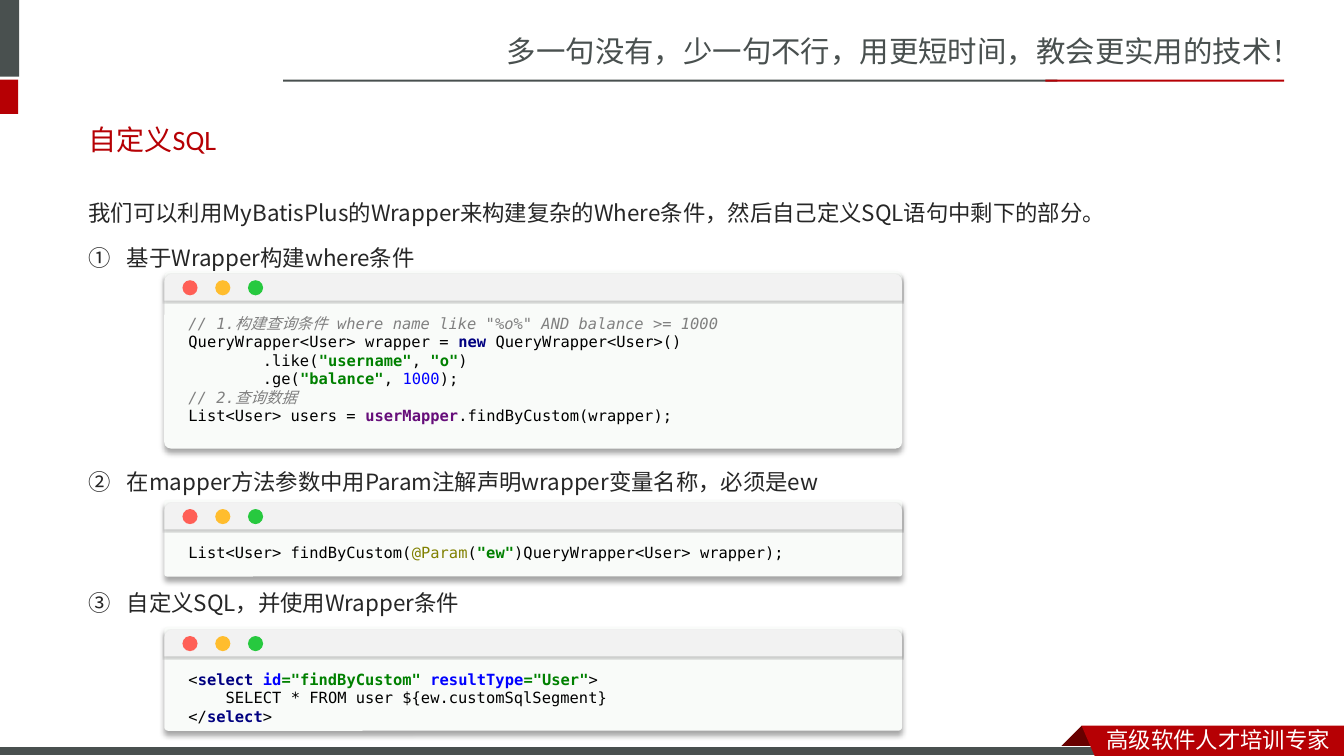
from lxml.etree import SubElement
from pptx import Presentation
from pptx.dml.color import RGBColor
from pptx.enum.shapes import MSO_SHAPE
from pptx.enum.text import MSO_ANCHOR
from pptx.oxml.ns import qn
from pptx.util import Inches, Pt

WIDE, HIGH = Inches(13.33), Inches(7.5)
COL, ROW = WIDE / 160, HIGH / 90

WHITE = RGBColor(0xFF, 0xFF, 0xFF)
BLACK = RGBColor(0x00, 0x00, 0x00)
SLATE = RGBColor(0x49, 0x50, 0x4F)
RED = RGBColor(0xB6, 0x00, 0x04)
MAROON = RGBColor(0x68, 0x00, 0x00)
INK = RGBColor(0x26, 0x26, 0x26)
PAPER = RGBColor(0xF9, 0xFB, 0xF9)
BAR = RGBColor(0xF2, 0xF2, 0xF2)
GRAY = RGBColor(0x80, 0x80, 0x80)
NAVY = RGBColor(0x00, 0x00, 0x80)
GREEN = RGBColor(0x00, 0x80, 0x00)
BLUE = RGBColor(0x00, 0x00, 0xFF)
PURPLE = RGBColor(0x66, 0x0E, 0x7A)
OLIVE = RGBColor(0x80, 0x80, 0x00)
DOTS = (RGBColor(0xFF, 0x5F, 0x56), RGBColor(0xFF, 0xBD, 0x2E),
        RGBColor(0x27, 0xC9, 0x3F))

SANS, MONO = "Noto Sans CJK SC", "DejaVu Sans Mono"

PLAIN = (BLACK, False, False, MONO)
NOTE = (GRAY, False, True, MONO)
HAN = (GRAY, False, True, "Courier New")
STAR = (BLACK, False, True, MONO)
WORD = (NAVY, True, False, MONO)
QUOTE = (GREEN, True, False, MONO)
DIGIT = (BLUE, False, False, MONO)
ATTR = (BLUE, True, False, MONO)
FIELD = (PURPLE, True, False, MONO)
MARK = (OLIVE, False, False, MONO)

QUERY = [
    [("// 1.", NOTE), ("构建查询条件", HAN),
     (' where name like "%o%" AND balance >= 1000', NOTE)],
    [("QueryWrapper<User> wrapper = ", PLAIN), ("new ", WORD),
     ("QueryWrapper<User>()", PLAIN)],
    [("        .like(", PLAIN), ('"username"', QUOTE), (", ", PLAIN),
     ('"o"', QUOTE), (")", PLAIN)],
    [("        .ge(", PLAIN), ('"balance"', QUOTE), (", ", PLAIN),
     ("1000", DIGIT), (");", PLAIN)],
    [("// 2.", NOTE), ("查询数据", HAN)],
    [("List<User> users = ", PLAIN), ("userMapper", FIELD),
     (".findByCustom(wrapper);", PLAIN)],
]
MAPPER = [
    [("List<User> findByCustom(", PLAIN), ("@Param", MARK), ("(", PLAIN),
     ('"ew"', QUOTE), (")QueryWrapper<User> wrapper);", PLAIN)],
]
SELECT = [
    [("<", PLAIN), ("select ", WORD), ("id", ATTR),
     ('="findByCustom" ', QUOTE), ("resultType", ATTR),
     ('="User"', QUOTE), (">", PLAIN)],
    [("    SELECT ", PLAIN), ("* ", STAR),
     ("FROM user ${ew.customSqlSegment}", PLAIN)],
    [("</", PLAIN), ("select", WORD), (">", PLAIN)],
]
CARDS = [(32.28, 21.12, QUERY), (59.52, 9.12, MAPPER), (74.64, 12.36, SELECT)]

INTRO = "我们可以利用MyBatisPlus的Wrapper来构建复杂的Where条件，然后自己定义SQL语句中剩下的部分。"
STEPS = [("基于Wrapper构建where条件", 8),
         ("在mapper方法参数中用Param注解声明wrapper变量名称，必须是ew", 136),
         ("自定义SQL，并使用Wrapper条件", 62.4)]


def place(box):
    x, y, w, h = box
    return round(x * COL), round(y * ROW), round(w * COL), round(h * ROW)


def paint(shape, fill):
    shape.shadow.inherit = False
    shape.fill.solid()
    shape.fill.fore_color.rgb = fill
    shape.line.fill.background()
    return shape


def draw(shapes, kind, box, fill):
    return paint(shapes.add_shape(kind, *place(box)), fill)


def outline(shapes, points, fill):
    spots = [(round(x * COL), round(y * ROW)) for x, y in points]
    pen = shapes.build_freeform(*spots[0])
    pen.add_line_segments(spots[1:], close=True)
    return paint(pen.convert_to_shape(), fill)


def shade(shape, alpha, blur, dist):
    effects = shape._element.spPr.find(qn("a:effectLst"))
    outer = SubElement(effects, qn("a:outerShdw"), blurRad=str(Pt(blur)),
                       dist=str(Pt(dist)), dir="5400000", algn="t",
                       rotWithShape="0")
    tint = SubElement(outer, qn("a:srgbClr"), val=str(BLACK))
    SubElement(tint, qn("a:alpha"), val=str(alpha * 1000))


def frame(shapes, box):
    body = shapes.add_textbox(*place(box)).text_frame
    body.word_wrap = True
    return body


def style(para, size, face, color):
    font = para.font
    font.size, font.name, font.color.rgb = Pt(size), face, color
    base = para._p.pPr.find(qn("a:defRPr"))
    SubElement(base, qn("a:ea"), typeface=face)


def label(shapes, box, words, size, face, color):
    body = frame(shapes, box)
    para = body.paragraphs[0]
    para.text = words
    style(para, size, face, color)
    return body


def header(shapes):
    label(shapes, (59.16, 3.36, 100.84, 5.64),
          "多一句没有，少一句不行，用更短时间，教会更实用的技术！", 21, SANS, SLATE)
    for box, fill in (((0, 0, 2.28, 9.12), SLATE),
                      ((0, 9.48, 2.16, 4.08), RED),
                      ((33.72, 9.48, 92.16, 0.24), SLATE),
                      ((124.44, 9.48, 28.44, 0.24), RED)):
        draw(shapes, MSO_SHAPE.RECTANGLE, box, fill)


def footer(shapes):
    outline(shapes, [(128.76, 86.4), (131.4, 89.04), (131.28, 89.16),
                     (126.24, 89.16), (126.12, 89.04)], MAROON)
    strip = draw(shapes, MSO_SHAPE.RECTANGLE, (0, 88.92, 131.9, 1.08), SLATE)
    strip.line.color.rgb = WHITE
    strip.line.width = Pt(0.75)
    outline(shapes, [(128.76, 86.4), (160, 86.4), (160, 90), (130.32, 90)], RED)
    label(shapes, (130.56, 85.8, 29.4, 4.2), "高级软件人才培训专家", 16, SANS, WHITE)


def steps(shapes, box):
    body = label(shapes, box, INTRO, 16, "Noto Sans CJK JP", INK)
    body.paragraphs[0].line_spacing = Pt(24)
    for words, gap in STEPS:
        para = body.add_paragraph()
        para.text = words
        para.line_spacing = Pt(24)
        para.space_before = Pt(gap)
        props = para._p.get_or_add_pPr()
        props.set("marL", str(Inches(0.38)))
        props.set("indent", str(-Inches(0.38)))
        SubElement(props, qn("a:buAutoNum"), type="circleNumDbPlain")
        style(para, 16, "Noto Sans CJK JP", INK)


def code(shapes, box, lines):
    body = frame(shapes, box)
    body.margin_left = body.margin_right = Inches(0.24)
    para = body.paragraphs[0]
    style(para, 11, MONO, BLACK)
    for row, line in enumerate(lines):
        if row:
            para.add_line_break()
        for words, (color, bold, slant, face) in line:
            run = para.add_run()
            run.text = words
            font = run.font
            font.color.rgb, font.bold, font.italic = color, bold, slant
            font.name = face


def card(shapes, box, lines):
    x, y, w, h = box
    group = shapes.add_group_shape().shapes
    panel = draw(group, MSO_SHAPE.ROUNDED_RECTANGLE, box, PAPER)
    panel.adjustments[0] = 0.036
    shade(panel, 34, 4, 3)
    code(group, (x, y + 4.5, w + 0.84, h - 5.5), lines)
    bar = draw(group, MSO_SHAPE.ROUND_2_SAME_RECTANGLE, (x, y + 0.3, w, 3.2), BAR)
    bar.adjustments[0] = 0.3
    shade(bar, 20, 1, 1)
    for spot, fill in enumerate(DOTS):
        draw(group, MSO_SHAPE.OVAL,
             (x + 2.16 + 3.9 * spot, y + 1.08, 1.8, 1.8), fill)


def main():
    deck = Presentation()
    deck.slide_width, deck.slide_height = WIDE, HIGH
    shapes = deck.slides.add_slide(deck.slide_layouts[6]).shapes
    header(shapes)
    footer(shapes)
    title = label(shapes, (9.36, 12.96, 78.36, 7.32), "自定义SQL", 20, "Calibri", RED)
    title.vertical_anchor = MSO_ANCHOR.MIDDLE
    steps(shapes, (9.36, 22.3, 140.4, 52))
    for top, tall, lines in CARDS:
        card(shapes, (19.56, top, 87.84, tall), lines)
    deck.save("out.pptx")


if __name__ == "__main__":
    main()
